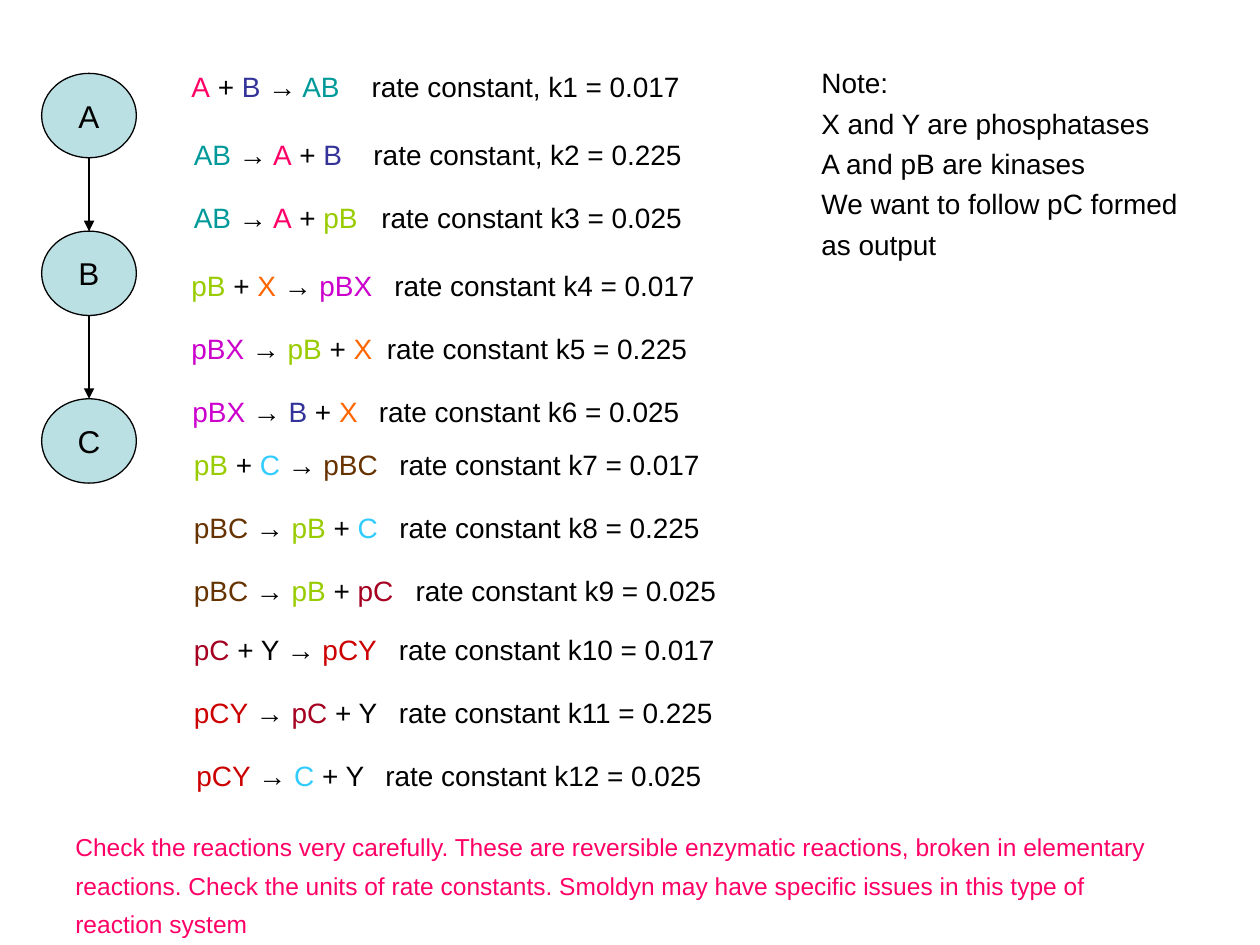
from lxml import etree
from pptx import Presentation
from pptx.dml.color import RGBColor
from pptx.enum import shapes, text
from pptx.oxml.ns import qn
from pptx.util import Cm, Pt

COLORS = {"A": "FF0066", "B": "333399", "AB": "009999", "pB": "99CC00",
          "X": "FF6600", "pBX": "CC00CC", "C": "33CCFF", "pBC": "663300",
          "pC": "A50021", "pCY": "CC0000"}


def rgb(value):
    return RGBColor.from_string(value)


def add_text(tf, lines, size=16, color="000000", spacing=None, align=None, tab=None):
    """Fill a frame; each line is a list of (text, colour) pieces or a string."""
    for i, line in enumerate(lines):
        p = tf.paragraphs[0] if i == 0 else tf.add_paragraph()
        if tab:
            tabs = etree.SubElement(p._p.get_or_add_pPr(), qn("a:tabLst"))
            etree.SubElement(tabs, qn("a:tab"), pos=str(Cm(tab)), algn="l")
        p.line_spacing = spacing
        p.alignment = align
        pieces = [(line, color)] if isinstance(line, str) else line
        for words, piece_color in pieces:
            r = p.add_run()
            r.text = words
            r.font.name = "Arial"
            r.font.size = Pt(size)
            r.font.color.rgb = rgb(piece_color)


prs = Presentation()
prs.slide_width, prs.slide_height = Cm(25.4), Cm(19.05)
s = prs.slides.add_slide(prs.slide_layouts[6])

# Cascade nodes
node_left, node_w, node_h = 0.84, 1.91, 1.7
nodes = [("A", 1.48), ("B", 4.66), ("C", 8.04)]
for name, top in nodes:
    sp = s.shapes.add_shape(shapes.MSO_SHAPE.OVAL, Cm(node_left), Cm(top),
                            Cm(node_w), Cm(node_h))
    sp.shadow.inherit = False
    sp.fill.solid()
    sp.fill.fore_color.rgb = rgb("BBE0E3")
    sp.line.color.rgb = rgb("000000")
    sp.line.width = Pt(0.75)
    tf = sp.text_frame
    tf.word_wrap = False
    tf.vertical_anchor = text.MSO_ANCHOR.MIDDLE
    add_text(tf, [name], size=18, align=text.PP_ALIGN.CENTER)

# Arrows from each node to the next
x = Cm(node_left + node_w / 2)
for (_, top), (_, next_top) in zip(nodes, nodes[1:]):
    cxn = s.shapes.add_connector(shapes.MSO_CONNECTOR.STRAIGHT,
                                 x, Cm(top + node_h), x, Cm(next_top))
    cxn.line.color.rgb = rgb("000000")
    cxn.line.width = Pt(0.75)
    etree.SubElement(cxn.line._get_or_add_ln(), qn("a:tailEnd"), type="triangle")
    etree.SubElement(cxn._element.spPr, qn("a:effectLst"))

# Reactions: left, top, tab stop, equation, rate constant
reactions = [
    (3.61, 1.27, 3.63, "A + B → AB", "rate constant, k1 = 0.017"),
    (3.66, 2.64, 3.62, "AB → A + B", "rate constant, k2 = 0.225"),
    (3.66, 3.91, 3.78, "AB → A + pB", "rate constant k3 = 0.025"),
    (3.61, 5.28, 4.09, "pB + X → pBX", "rate constant k4 = 0.017"),
    (3.61, 6.55, 3.94, "pBX → pB + X", "rate constant k5 = 0.225"),
    (3.63, 7.82, 3.76, "pBX → B + X", "rate constant k6 = 0.025"),
    (3.66, 8.89, 4.14, "pB + C → pBC", "rate constant k7 = 0.017"),
    (3.66, 10.16, 4.14, "pBC → pB + C", "rate constant k8 = 0.225"),
    (3.66, 11.43, 4.47, "pBC → pB + pC", "rate constant k9 = 0.025"),
    (3.66, 12.62, 4.13, "pC + Y → pCY", "rate constant k10 = 0.017"),
    (3.66, 13.89, 4.13, "pCY → pC + Y", "rate constant k11 = 0.225"),
    (3.71, 15.16, 3.81, "pCY → C + Y", "rate constant k12 = 0.025"),
]
for left, top, tab, equation, rate in reactions:
    tf = s.shapes.add_textbox(Cm(left), Cm(top), Cm(11.2), Cm(0.94)).text_frame
    tf.word_wrap = True
    pieces = []
    for i, token in enumerate(equation.split()):
        gap = " " if i else ""
        pieces.append((gap + token, COLORS.get(token, "000000")))
    add_text(tf, [pieces + [("\t" + rate, "000000")]], tab=tab)

# Note
tf = s.shapes.add_textbox(Cm(16.31), Cm(1.07), Cm(7.85), Cm(5.13)).text_frame
tf.word_wrap = False
add_text(tf, ["Note:", "X and Y are phosphatases", "A and pB are kinases",
              "We want to follow pC formed", "as output"], spacing=1.2)

# Warning
tf = s.shapes.add_textbox(Cm(1.27), Cm(16.48), Cm(22.68), Cm(2.57)).text_frame
tf.word_wrap = True
add_text(tf, ["Check the reactions very carefully. These are reversible enzymatic "
              "reactions, broken in elementary reactions. Check the units of rate "
              "constants. Smoldyn may have specific issues in this type of reaction "
              "system"], size=14, color="FF0066", spacing=1.3)

prs.save("out.pptx")
